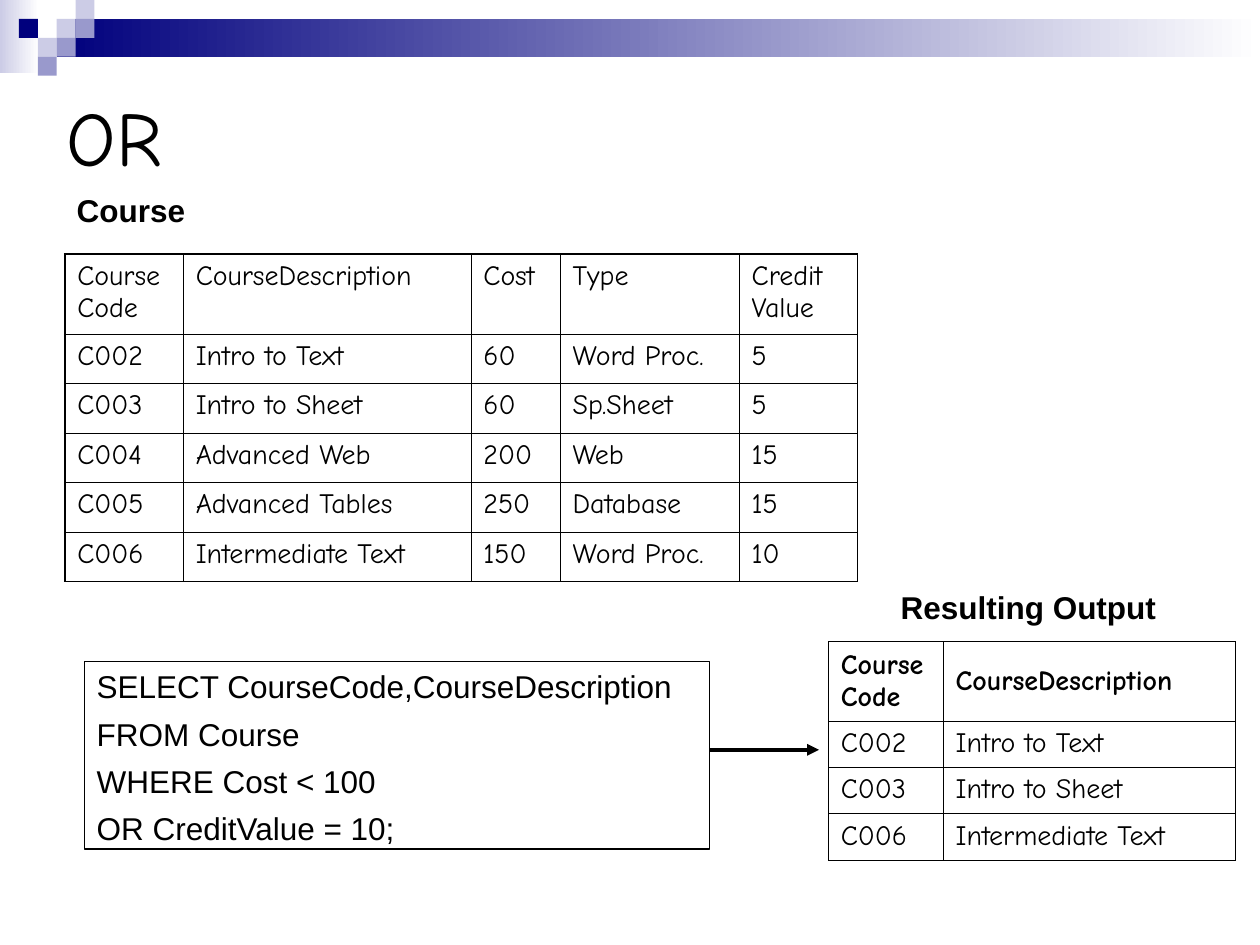
from dataclasses import dataclass
from typing import Any

from lxml.etree import SubElement
from pptx import Presentation
from pptx.dml.color import RGBColor
from pptx.enum.shapes import MSO_CONNECTOR as Connector, MSO_SHAPE as Preset
from pptx.enum.text import MSO_ANCHOR as Anchor, PP_ALIGN as Align
from pptx.oxml.ns import qn
from pptx.util import Pt

COLORS = {"ink": "000000", "paper": "FFFFFF", "navy": "00007D", "mid": "9999CC", "pale": "CCCCE6"}
TITLE = {"name": "Comic Neue", "size": Pt(44)}
BODY = {"name": "Comic Neue", "size": Pt(16), "bold": False}
HEADING = {**BODY, "bold": True}
LABEL = {"name": "Arial", "size": Pt(18), "bold": True}
QUERY = {"name": "Arial", "size": Pt(18), "bold": False}
SQUARE = 10.8
SQUARES = [(3, 1, "pale"), (4, 0, "pale"), (4, 1, "mid"), (2, 2, "pale"),
           (1, 1, "navy"), (3, 2, "mid"), (2, 3, "mid")]
COURSES = [
    ["Course Code", "CourseDescription", "Cost", "Type", "Credit Value"],
    ["C002", "Intro to Text", "60", "Word Proc.", "5"],
    ["C003", "Intro to Sheet", "60", "Sp.Sheet", "5"],
    ["C004", "Advanced Web", "200", "Web", "15"],
    ["C005", "Advanced Tables", "250", "Database", "15"],
    ["C006", "Intermediate Text", "150", "Word Proc.", "10"],
]
OUTPUT = [["CourseCode", "CourseDescription"]] + [
    row[:2] for row in COURSES if row[2] == "60" or row[4] == "10"]
STATEMENT = ["SELECT CourseCode,CourseDescription", "FROM Course",
             "WHERE Cost < 100", "OR CreditValue = 10;"]


@dataclass
class SlideBuilder:
    """Draws styled elements on the current slide, with lengths in points."""

    slide: Any
    colors: dict

    def color(self, name):
        return RGBColor.from_string(self.colors[name])

    def fill_text(self, frame, lines, style, gap=0):
        frame.word_wrap = True
        for index, line in enumerate(lines):
            paragraph = frame.paragraphs[0] if index == 0 else frame.add_paragraph()
            paragraph.text = line
            paragraph.alignment = Align.LEFT
            paragraph.space_before = Pt(gap if index else 0)
            paragraph.font.color.rgb = self.color("ink")
            for key, value in style.items():
                setattr(paragraph.font, key, value)

    def rectangle(self, box, fill=None, fade=None):
        shape = self.slide.shapes.add_shape(Preset.RECTANGLE, *map(Pt, box))
        shape.shadow.inherit = False
        shape.line.fill.background()
        if fade:
            shape.fill.gradient()
            shape.fill.gradient_angle = 0
            for stop, name in zip(shape.fill.gradient_stops, fade):
                stop.color.rgb = self.color(name)
        elif fill:
            shape.fill.solid()
            shape.fill.fore_color.rgb = self.color(fill)
        else:
            shape.fill.background()
        return shape

    def framed_text(self, box, lines, style, gap):
        shape = self.rectangle(box)
        shape.line.color.rgb = self.color("ink")
        shape.line.width = Pt(0.75)
        shape.text_frame.vertical_anchor = Anchor.TOP
        self.fill_text(shape.text_frame, lines, style, gap)

    def text(self, box, words, style, anchor=Anchor.TOP):
        frame = self.slide.shapes.add_textbox(*map(Pt, box)).text_frame
        self.fill_text(frame, [words], style)
        frame.vertical_anchor = anchor

    def arrow(self, start, end, width):
        line = self.slide.shapes.add_connector(Connector.STRAIGHT, *map(Pt, start + end))
        line.line.color.rgb = self.color("ink")
        line.line.width = Pt(width)
        outline = line._element.spPr.find(qn("a:ln"))
        SubElement(outline, qn("a:tailEnd"), type="triangle")
        SubElement(line._element.spPr, qn("a:effectLst"))

    def borders(self, cell, widths):
        properties = cell._tc.get_or_add_tcPr()
        for side, width in widths.items():
            border = SubElement(properties, qn(f"a:ln{side}"), w=str(Pt(width)))
            fill = SubElement(border, qn("a:solidFill"))
            SubElement(fill, qn("a:srgbClr"), val=self.colors["ink"])

    def table(self, corner, widths, heights, rows, inner, outer, heading, anchor, fill=None):
        size = (sum(widths), sum(heights))
        shape = self.slide.shapes.add_table(len(rows), len(widths), *map(Pt, corner + size))
        table = shape.table
        table.first_row = table.horz_banding = False
        for column, width in zip(table.columns, widths):
            column.width = Pt(width)
        for row, height in zip(table.rows, heights):
            row.height = Pt(height)
        last_row, last_column = len(rows) - 1, len(widths) - 1
        for r, row in enumerate(rows):
            for c, words in enumerate(row):
                cell = table.cell(r, c)
                edges = {"L": c == 0, "R": c == last_column, "T": r == 0, "B": r == last_row}
                self.borders(cell, {side: outer if edge else inner for side, edge in edges.items()})
                if fill and r:
                    cell.fill.solid()
                    cell.fill.fore_color.rgb = self.color(fill)
                else:
                    cell.fill.background()
                cell.vertical_anchor = Anchor.TOP if r else anchor
                self.fill_text(cell.text_frame, [words], BODY if r else heading)


def main():
    presentation = Presentation()
    presentation.slide_width, presentation.slide_height = Pt(720), Pt(540)
    slide = presentation.slides.add_slide(presentation.slide_layouts[6])
    builder = SlideBuilder(slide, COLORS)

    builder.rectangle((0, 0, 22.3, 41.8), fade=("pale", "paper"))
    builder.rectangle((32.4, SQUARE, 687.6, 21.6), fade=("navy", "paper"))
    for column, row, fill in SQUARES:
        builder.rectangle((column * SQUARE, row * SQUARE, SQUARE, SQUARE), fill)

    builder.text((31, 37.4, 648, 80.6), "OR", TITLE, Anchor.MIDDLE)
    builder.table((37, 145.2), [67.7, 164.4, 51, 102.3, 67.7], [45.6] + [28.3] * 5,
                  COURSES, 0.45, 1.08, BODY, Anchor.TOP, "paper")
    builder.framed_text((48.2, 377.8, 357.3, 107.3), STATEMENT, QUERY, 5.4)
    builder.text((36.7, 105.8, 209.5, 28.8), "Course", LABEL)
    builder.arrow((405.5, 428.5), (468, 428.5), 2.25)
    builder.table((473.3, 366.5), [65.6, 167], [45.6] + [26.3] * 3,
                  OUTPUT, 0.34, 0.34, HEADING, Anchor.MIDDLE)
    builder.text((507.6, 332.6, 209.5, 28.8), "Resulting Output", LABEL)
    presentation.save("out.pptx")


if __name__ == "__main__":
    main()
